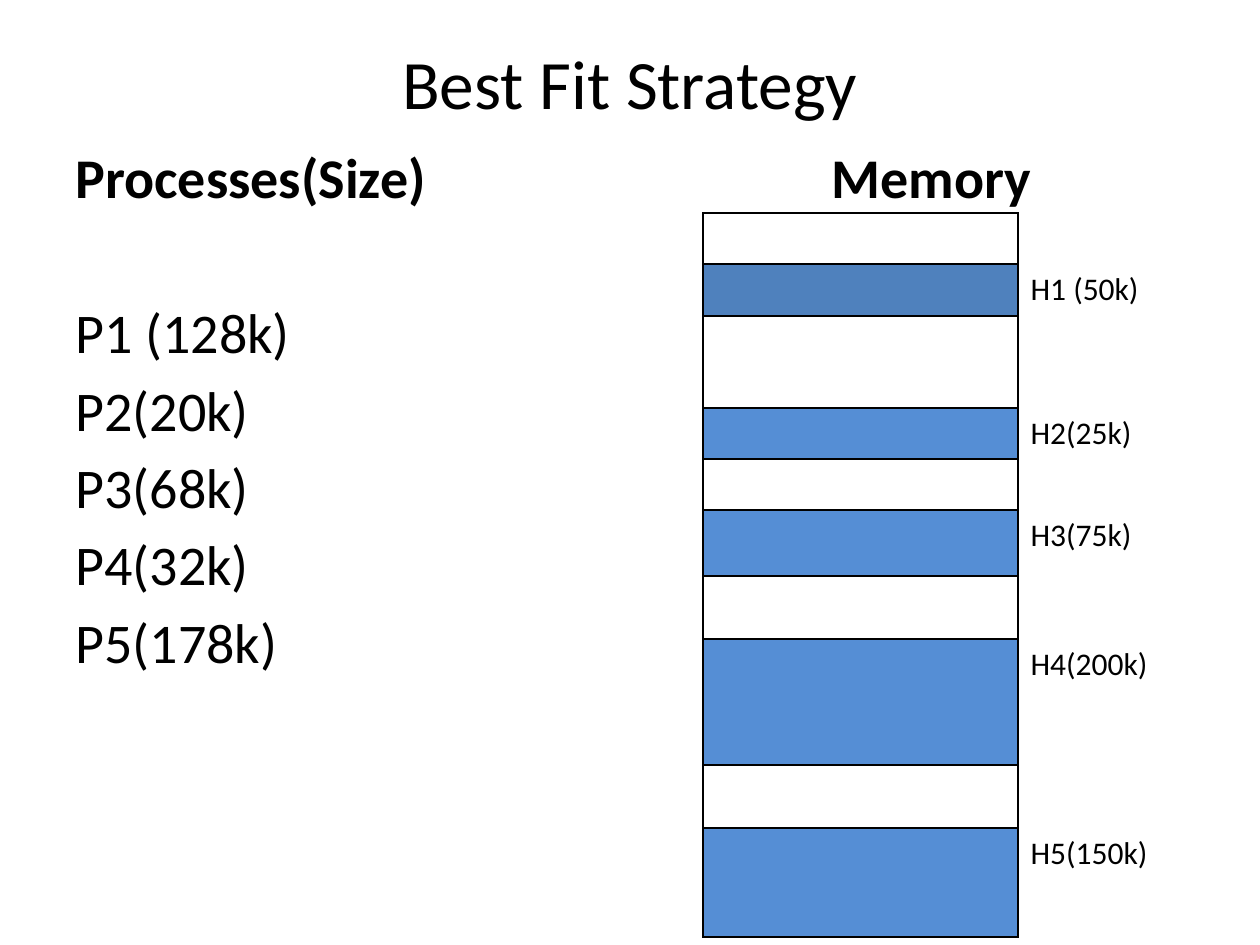
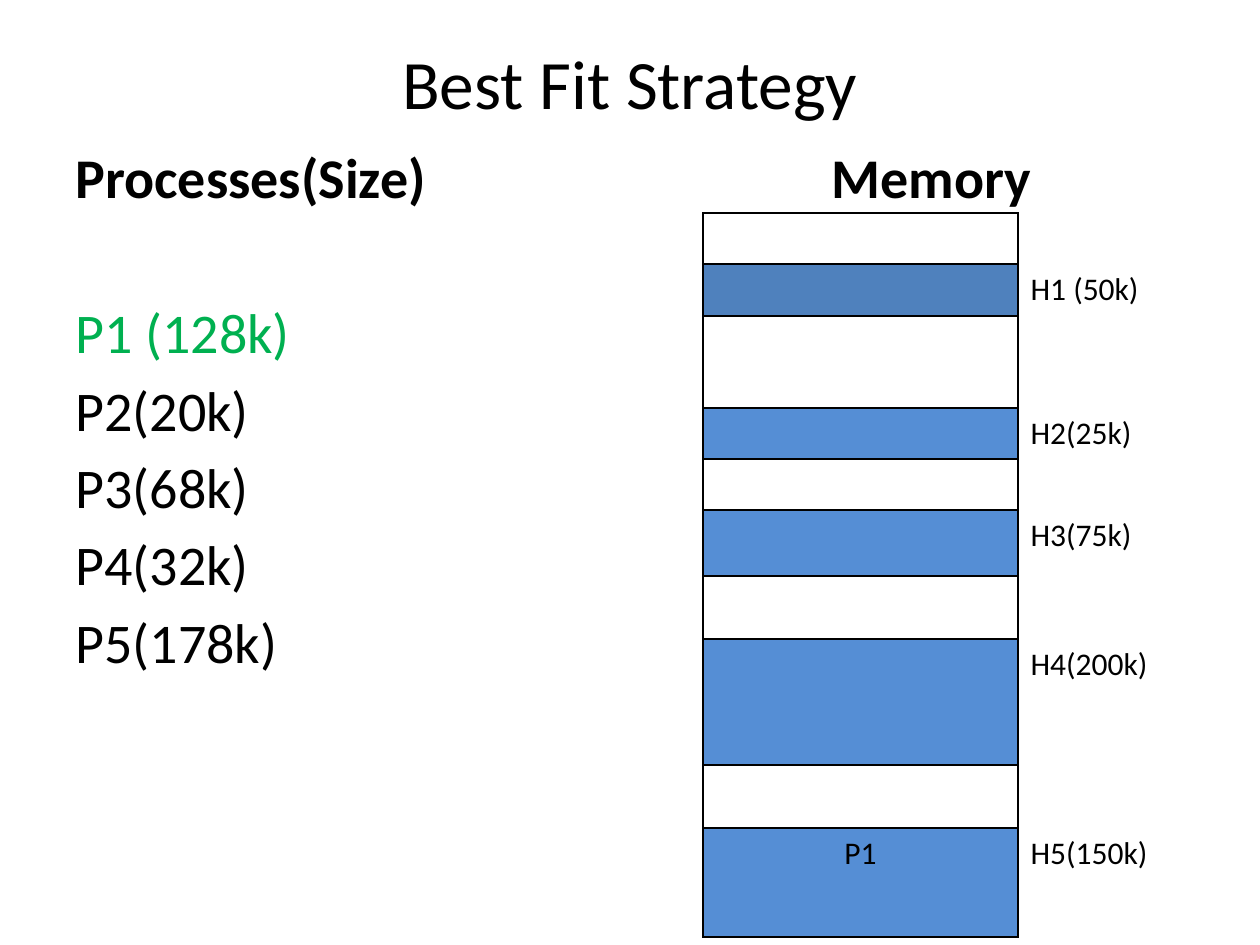
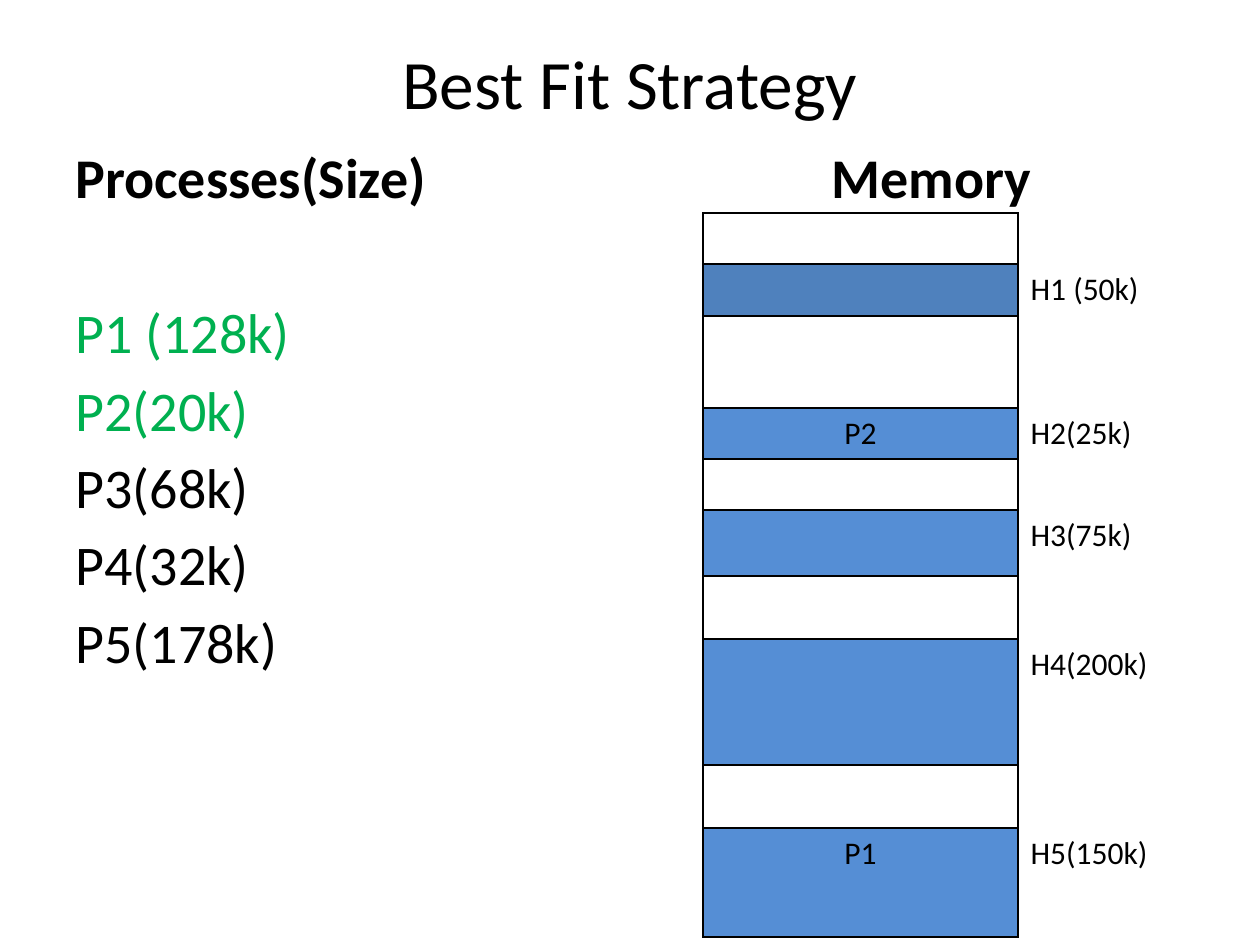
"""Build three slides that step through best fit memory allocation."""
import pptx
import pptx.dml.color
import pptx.enum.text
import pptx.oxml.ns
import pptx.util
from lxml import etree

EMU_PER_PX = 914400 / 126
FONT = "Calibri"
BLACK = pptx.dml.color.RGBColor(0x00, 0x00, 0x00)
GREEN = pptx.dml.color.RGBColor(0x00, 0xB0, 0x50)
STEEL_BLUE = pptx.dml.color.RGBColor(0x4F, 0x81, 0xBD)
HOLE_BLUE = pptx.dml.color.RGBColor(0x55, 0x8E, 0xD5)
LEFT = pptx.enum.text.PP_ALIGN.LEFT
CENTER = pptx.enum.text.PP_ALIGN.CENTER
MIDDLE = pptx.enum.text.MSO_ANCHOR.MIDDLE
TOP = pptx.enum.text.MSO_ANCHOR.TOP

PROCESSES = {"P1": "P1 (128k)", "P2": "P2(20k)", "P3": "P3(68k)",
             "P4": "P4(32k)", "P5": "P5(178k)"}
MEMORY_ROWS = [
    (51, None, None),
    (52, "H1 (50k)", STEEL_BLUE),
    (92, None, None),
    (51, "H2(25k)", HOLE_BLUE),
    (51, None, None),
    (66, "H3(75k)", HOLE_BLUE),
    (63, None, None),
    (126, "H4(200k)", HOLE_BLUE),
    (63, None, None),
    (109, "H5(150k)", HOLE_BLUE),
]
STEPS = [{}, {"H5": "P1"}, {"H5": "P1", "H2": "P2"}]


def px(length):
    return pptx.util.Emu(round(length * EMU_PER_PX))


def write(para, text, size=18, color=BLACK, bold=False, align=LEFT, before=0):
    para.alignment = align
    para.space_before = pptx.util.Pt(before)
    span = para.add_run()
    span.text = text
    span.font.name = FONT
    span.font.size = pptx.util.Pt(size)
    span.font.bold = bold
    span.font.color.rgb = color


def add_frame(page, left, top, width, height, anchor=TOP):
    frame = page.shapes.add_textbox(px(left), px(top), px(width), px(height)).text_frame
    frame.word_wrap = True
    frame.vertical_anchor = anchor
    return frame


def set_tab_stop(para, position):
    properties = para._p.get_or_add_pPr()
    tabs = etree.SubElement(properties, pptx.oxml.ns.qn("a:tabLst"))
    etree.SubElement(tabs, pptx.oxml.ns.qn("a:tab"), pos=str(px(position)), algn="l")


def set_borders(cell, black_sides):
    properties = cell._tc.get_or_add_tcPr()
    for side in "LRTB":
        line = etree.SubElement(properties, pptx.oxml.ns.qn(f"a:ln{side}"),
                                w=str(pptx.util.Pt(1)))
        if side in black_sides:
            fill = etree.SubElement(line, pptx.oxml.ns.qn("a:solidFill"))
            etree.SubElement(fill, pptx.oxml.ns.qn("a:srgbClr"), val=str(BLACK))
        else:
            etree.SubElement(line, pptx.oxml.ns.qn("a:noFill"))


def fill_cell(cell, color, black_sides):
    set_borders(cell, black_sides)
    if color is None:
        cell.fill.background()
    else:
        cell.fill.solid()
        cell.fill.fore_color.rgb = color


def add_title(page, text):
    frame = add_frame(page, 63, 38, 1134, 88, anchor=MIDDLE)
    write(frame.paragraphs[0], text, size=39.6, align=CENTER)


def add_processes(page, placed):
    frame = add_frame(page, 63, 136, 1134, 809)
    heading = frame.paragraphs[0]
    write(heading, "Processes(Size)\tMemory", size=32, bold=True)
    set_tab_stop(heading, 756)
    for index, (name, text) in enumerate(PROCESSES.items()):
        write(frame.add_paragraph(), text, size=32,
              color=GREEN if name in placed else BLACK,
              before=5.8 if index else 50.5)


def add_memory(page, placements):
    heights = [height for height, _, _ in MEMORY_ROWS]
    table = page.shapes.add_table(len(heights), 2, px(703), px(213),
                                  px(462), px(sum(heights))).table
    table.first_row = False
    table.horz_banding = False
    for column, width in zip(table.columns, (315, 147)):
        column.width = px(width)
    for index, (height, label, color) in enumerate(MEMORY_ROWS):
        table.rows[index].height = px(height)
        block, caption = table.cell(index, 0), table.cell(index, 1)
        fill_cell(block, color, "LRTB")
        fill_cell(caption, None, "L")
        if label:
            write(caption.text_frame.paragraphs[0], label)
            process = placements.get(label[:2])
            if process:
                write(block.text_frame.paragraphs[0], process, align=CENTER)


def main():
    deck = pptx.Presentation()
    deck.slide_width, deck.slide_height = px(1260), px(945)
    for placements in STEPS:
        page = deck.slides.add_slide(deck.slide_layouts[6])
        add_title(page, "Best Fit Strategy")
        add_processes(page, placements.values())
        add_memory(page, placements)
    deck.save("out.pptx")


if __name__ == "__main__":
    main()
